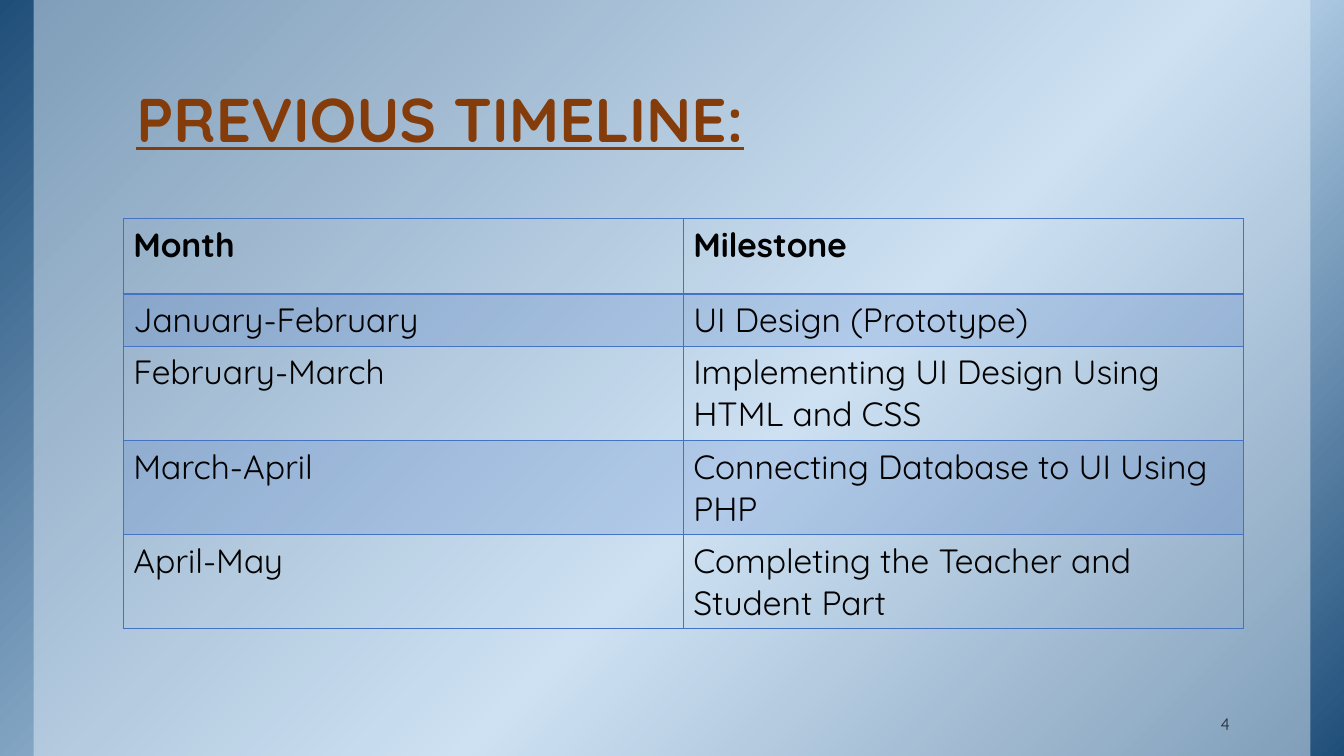
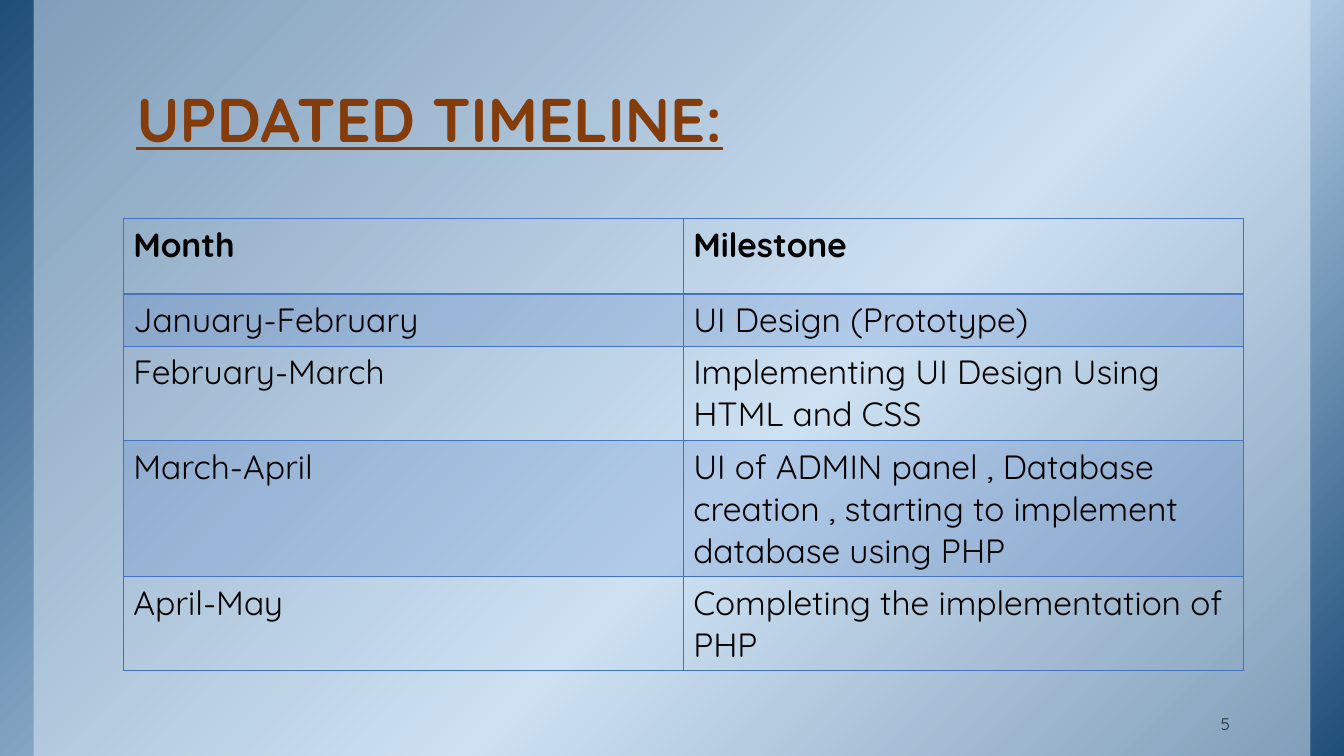
import copy
import dataclasses

import pptx
import pptx.dml.color
import pptx.enum.shapes
import pptx.enum.text
import pptx.oxml
import pptx.oxml.ns
import pptx.text.text
import pptx.util

Pt = pptx.util.Pt
PP = pptx.enum.shapes.PP_PLACEHOLDER
ALIGN = pptx.enum.text.PP_ALIGN
BOTTOM = pptx.enum.text.MSO_ANCHOR.BOTTOM


@dataclasses.dataclass(frozen=True)
class Theme:
    font: str = "Quicksand"
    title: str = "843C0B"
    text: str = "000000"
    number: str = "222A35"
    accent: str = "4472C4"
    panel: str = "DEEBF7"
    gradient: tuple = ((0, "1F4E79"), (0.58, "BDD7EE"), (1, "1F4E79"))
    title_size: int = 44
    table_size: int = 24
    number_size: int = 12


THEME = Theme()
W, H = pptx.util.Inches(13.33), pptx.util.Inches(7.5)
COL, ROW = W / 12, H / 100
LEFT, WIDTH = 1.1 * COL, 10 * COL
TITLE_BOX = (LEFT, ROW, WIDTH, 20.4 * ROW)
TABLE_BOX = (LEFT, 28.9 * ROW, WIDTH, 32 * ROW)
NUMBER_BOX = (LEFT + 8.91 * COL, 93.3 * ROW, 1.09 * COL, 4.7 * ROW)
HEADER_ROW, BODY_ROW = 10 * ROW, 5.5 * ROW
FIRST_NUMBER = 4

HEADER = ("Month", "Milestone")
START = (("January-February", "UI Design (Prototype)"),
         ("February-March", "Implementing UI Design Using HTML and CSS"))
TIMELINES = (
    ("PREVIOUS TIMELINE:", (
        HEADER, *START,
        ("March-April", "Connecting Database to UI Using PHP"),
        ("April-May", "Completing the Teacher and Student Part"))),
    ("UPDATED TIMELINE:", (
        HEADER, *START,
        ("March-April", "UI of ADMIN panel , Database creation , "
                        "starting to implement database using PHP"),
        ("April-May", "Completing the implementation of PHP"))),
)


def rgb(color):
    return pptx.dml.color.RGBColor.from_string(color)


def place(sp, box):
    sp.left, sp.top, sp.width, sp.height = (round(v) for v in box)


def style(font, size, color, bold=False, underline=False):
    font.name, font.size = THEME.font, Pt(size)
    font.bold, font.underline = bold, underline
    font.color.rgb = rgb(color)


def tint(fill, color, percent):
    """Fill with a colour of the given opacity."""
    fill.solid()
    fill.fore_color.rgb = rgb(color)
    node = fill._xPr.find(".//" + pptx.oxml.ns.qn("a:srgbClr"))
    alpha = pptx.oxml.parse_xml(
        f'<a:alpha {pptx.oxml.ns.nsdecls("a")} val="{percent * 1000}"/>')
    node.append(alpha)


def add_backdrop(master, slide):
    """Draw gradient and panel, then move them to the back of the master."""
    boxes = ((0, 0, W, H), (0.025 * W, 0, 0.95 * W, H))
    rects = []
    for i, box in enumerate(boxes):
        sp = slide.shapes.add_shape(
            pptx.enum.shapes.MSO_SHAPE.RECTANGLE, *(round(v) for v in box))
        sp.shadow.inherit = False
        sp.line.fill.background()
        master.shapes._spTree.insert(2 + i, sp._element)
        rects.append(sp)
    gradient, panel = rects
    fill = gradient.fill
    fill.gradient()
    stops = gradient._element.xpath(".//a:gsLst")[0]
    stops.append(copy.deepcopy(stops[-1]))
    for stop, (position, color) in zip(fill.gradient_stops, THEME.gradient):
        stop.position, stop.color.rgb = position, rgb(color)
    fill.gradient_angle = 315
    tint(panel.fill, THEME.panel, 50)


def set_layout(layout):
    boxes = {PP.TITLE: TITLE_BOX, PP.SLIDE_NUMBER: NUMBER_BOX}
    for ph in layout.placeholders:
        kind = ph.placeholder_format.type
        if kind in boxes:
            place(ph, boxes[kind])
            tf = ph.text_frame
            tf.vertical_anchor = BOTTOM
            tf.auto_size = pptx.enum.text.MSO_AUTO_SIZE.NONE
            tf.margin_left = tf.margin_right = pptx.util.Inches(0.13)
            tf.margin_top = tf.margin_bottom = pptx.util.Inches(0.07)


def add_title(slide, text):
    tf = slide.shapes.title.text_frame
    tf.text = text
    p = tf.paragraphs[0]
    p.alignment, p.line_spacing = ALIGN.LEFT, 0.85
    style(p.runs[0].font, THEME.title_size, THEME.title, True, True)


def add_number(slide, number):
    """Show the layout's slide number field on the slide."""
    ph = next(ph for ph in slide.slide_layout.placeholders
              if ph.placeholder_format.type == PP.SLIDE_NUMBER)
    sp = copy.deepcopy(ph._element)
    slide.shapes._spTree.append(sp)
    shown = slide.shapes[-1]
    shown.text_frame.paragraphs[0].alignment = ALIGN.RIGHT
    field = sp.xpath(".//a:fld")[0]
    field.xpath("./a:t")[0].text = str(number)
    style(pptx.text.text.Font(field.get_or_add_rPr()),
          THEME.number_size, THEME.number)


def set_borders(cell, top, bottom):
    tcPr = cell._tc.get_or_add_tcPr()
    sides = (("L", 1), ("R", 1), ("T", top), ("B", bottom))
    for i, (side, width) in enumerate(sides):
        tcPr.insert(i, pptx.oxml.parse_xml(
            f'<a:ln{side} {pptx.oxml.ns.nsdecls("a")} w="{Pt(width)}">'
            f'<a:solidFill><a:srgbClr val="{THEME.accent}"/></a:solidFill>'
            f'</a:ln{side}>'))


def add_timeline(slide, rows, box):
    frame = slide.shapes.add_table(
        len(rows), len(HEADER), *(round(v) for v in box))
    table = frame.table
    table.first_row = table.horz_banding = False
    for r, values in enumerate(rows):
        table.rows[r].height = round(BODY_ROW if r else HEADER_ROW)
        for c, value in enumerate(values):
            cell = table.cell(r, c)
            cell.text = value
            style(cell.text_frame.paragraphs[0].runs[0].font,
                  THEME.table_size, THEME.text, bold=r == 0)
            if r % 2:
                tint(cell.fill, THEME.accent, 20)
            else:
                cell.fill.background()
            set_borders(cell, top=2 if r == 1 else 1, bottom=1 if r else 2)


def main():
    prs = pptx.Presentation()
    prs.slide_width, prs.slide_height = W, H
    prs.element.set("firstSlideNum", str(FIRST_NUMBER))
    layout = prs.slide_layouts.get_by_name("Title Only")
    set_layout(layout)
    for number, (title, rows) in enumerate(TIMELINES, FIRST_NUMBER):
        slide = prs.slides.add_slide(layout)
        if number == FIRST_NUMBER:
            add_backdrop(prs.slide_master, slide)
        add_title(slide, title)
        add_timeline(slide, rows, TABLE_BOX)
        add_number(slide, number)
    prs.save("out.pptx")


if __name__ == "__main__":
    main()
